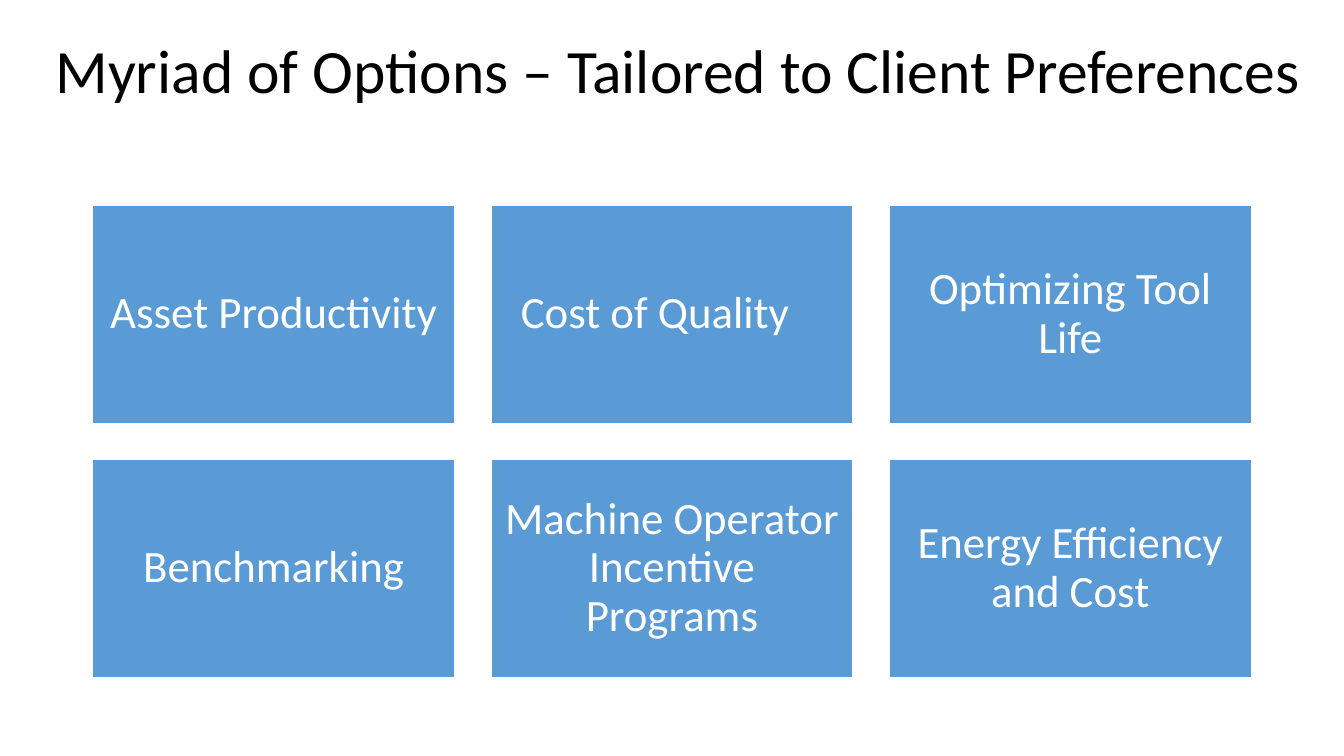
"""Build a slide with a title and a three-by-two grid of service options."""
import pptx
import pptx.dml.color
import pptx.enum.shapes
import pptx.enum.text
import pptx.util

Inches = pptx.util.Inches
Pt = pptx.util.Pt
PP_ALIGN = pptx.enum.text.PP_ALIGN
MSO_ANCHOR = pptx.enum.text.MSO_ANCHOR


def rgb(color):
    return pptx.dml.color.RGBColor.from_string(color)


def style_text(tf, text, size, color, align):
    tf.text = text
    tf.word_wrap = True
    tf.auto_size = pptx.enum.text.MSO_AUTO_SIZE.NONE
    tf.vertical_anchor = MSO_ANCHOR.MIDDLE
    p = tf.paragraphs[0]
    p.alignment = align
    p.line_spacing = 0.9
    p.font.name = "Calibri"
    p.font.size = Pt(size)
    p.font.color.rgb = rgb(color)


prs = pptx.Presentation()
prs.slide_width = Inches(13.33)
prs.slide_height = Inches(7.5)
s = prs.slides.add_slide(prs.slide_layouts[5])

title = s.shapes.title
title.left, title.top = Inches(0.45), Inches(0.16)
title.width, title.height = Inches(12.61), Inches(1.14)
style_text(title.text_frame, "Myriad of Options – Tailored to Client Preferences",
           44, "000000", PP_ALIGN.LEFT)

options = [
    "Asset Productivity", "Cost of Quality\t", "Optimizing Tool Life",
    "Benchmarking", "Machine Operator Incentive Programs",
    "Energy Efficiency and Cost",
]
left, top = 0.92, 2.04
width, height, gap = 3.59, 2.16, 0.36

for i, option in enumerate(options):
    row, col = divmod(i, 3)
    sp = s.shapes.add_shape(
        pptx.enum.shapes.MSO_SHAPE.RECTANGLE,
        Inches(left + col * (width + gap)), Inches(top + row * (height + gap)),
        Inches(width), Inches(height))
    sp.shadow.inherit = False
    sp.fill.solid()
    sp.fill.fore_color.rgb = rgb("5B9BD5")
    sp.line.color.rgb = rgb("FFFFFF")
    sp.line.width = Pt(1)
    tf = sp.text_frame
    tf.margin_left = tf.margin_right = Inches(0.13)
    tf.margin_top = tf.margin_bottom = Inches(0.13)
    style_text(tf, option, 32, "FFFFFF", PP_ALIGN.CENTER)

prs.save("out.pptx")
